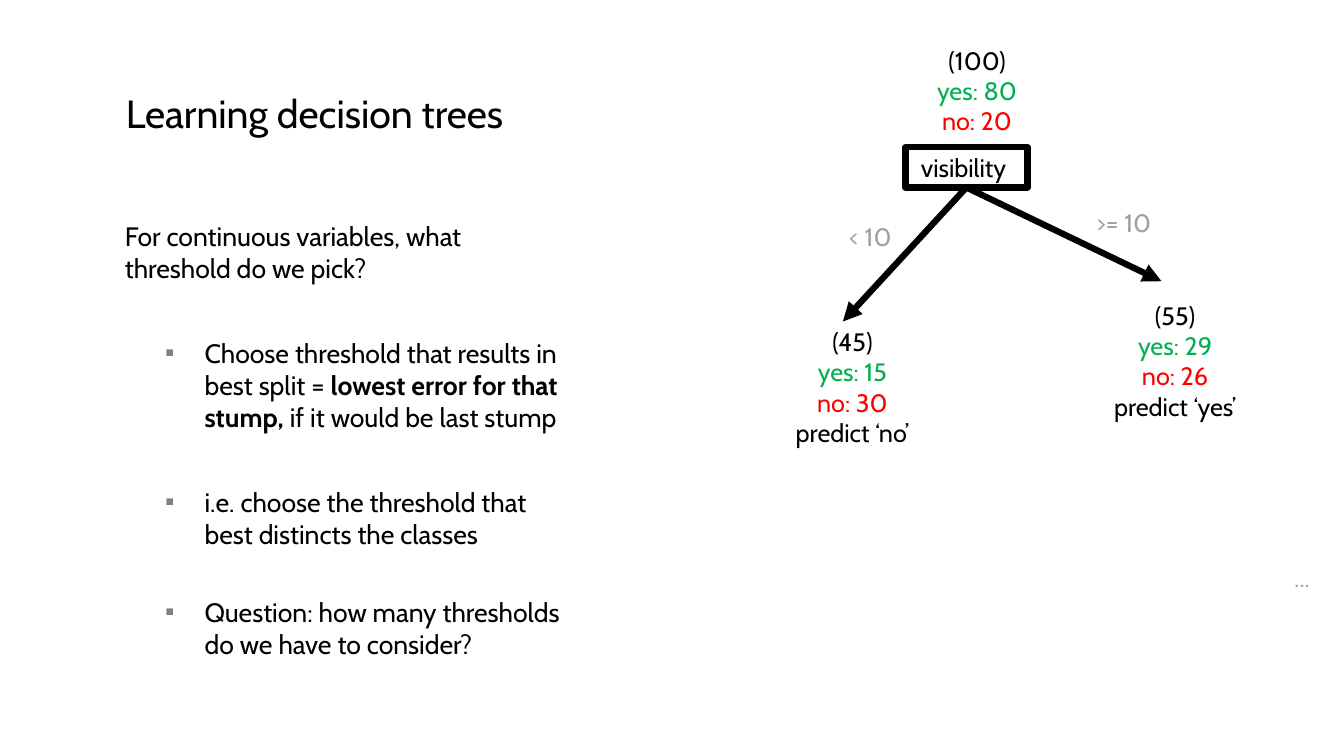
from dataclasses import dataclass

from lxml import etree
from pptx import Presentation
from pptx.dml.color import RGBColor
from pptx.enum.shapes import MSO_CONNECTOR, MSO_SHAPE
from pptx.enum.text import MSO_ANCHOR, PP_ALIGN
from pptx.oxml.ns import qn
from pptx.util import Inches, Pt

STRAIGHT = MSO_CONNECTOR.STRAIGHT
RECTANGLE = MSO_SHAPE.RECTANGLE
TOP, MIDDLE = MSO_ANCHOR.TOP, MSO_ANCHOR.MIDDLE
LEFT, CENTER = PP_ALIGN.LEFT, PP_ALIGN.CENTER
BOTTOM_SITE = 2


@dataclass(frozen=True)
class Theme:
    font: str = "Cabin"
    black: str = "000000"
    white: str = "FFFFFF"
    green: str = "00B050"
    red: str = "FF0000"
    gray: str = "A1A1A1"
    bullet: str = "808080"
    title_size: float = 28
    body_size: float = 19
    tree_size: float = 18
    line_width: float = 4.5


THEME = Theme()


def color(value):
    return RGBColor.from_string(value)


def style(para, size, text_color=THEME.black, align=LEFT):
    para.alignment = align
    para.font.name = THEME.font
    para.font.size = Pt(size)
    para.font.color.rgb = color(text_color)


def add_frame(page, box, anchor=TOP):
    frame = page.shapes.add_textbox(*map(Inches, box)).text_frame
    frame.word_wrap = True
    frame.vertical_anchor = anchor
    return frame


def next_para(frame, index):
    return frame.add_paragraph() if index else frame.paragraphs[0]


def add_lines(page, box, lines, align=LEFT):
    frame = add_frame(page, box)
    for index, (text, text_color) in enumerate(lines):
        para = next_para(frame, index)
        para.text = text
        style(para, THEME.tree_size, text_color, align)


def add_bullet(para):
    properties = para._p.get_or_add_pPr()
    properties.set("marL", str(Inches(0.79)))
    properties.set("indent", str(-Inches(0.39)))
    bullet_color = etree.SubElement(properties, qn("a:buClr"))
    etree.SubElement(bullet_color, qn("a:srgbClr"), val=THEME.bullet)
    etree.SubElement(properties, qn("a:buFont"), typeface="Arial")
    etree.SubElement(properties, qn("a:buChar"), char="▪")


def add_title(page, box):
    para = add_frame(page, box, MIDDLE).paragraphs[0]
    para.text = "Learning decision trees"
    para.line_spacing = 0.9
    style(para, THEME.title_size)


def add_body(page, box):
    paragraphs = [
        (0, False, [("For continuous variables, what threshold do we pick?", False)]),
        (38, True, [
            ("Choose threshold that results in best split = ", False),
            ("lowest error for that stump, ", True),
            ("if it would be last stump", False),
        ]),
        (38, True, [("i.e. choose the threshold that best distincts the classes", False)]),
        (33, True, [("Question: how many thresholds do we have to consider?", False)]),
    ]
    frame = add_frame(page, box)
    for index, (space, bulleted, spans) in enumerate(paragraphs):
        para = next_para(frame, index)
        if space:
            para.space_before = Pt(space)
        if bulleted:
            add_bullet(para)
        style(para, THEME.body_size)
        for text, bold in spans:
            span = para.add_run()
            span.text = text
            if bold:
                span.font.bold = True


def add_node(page, box, text):
    node = page.shapes.add_shape(RECTANGLE, *map(Inches, box))
    node.shadow.inherit = False
    node.fill.background()
    node.line.color.rgb = color(THEME.black)
    node.line.width = Pt(THEME.line_width)
    frame = node.text_frame
    frame.word_wrap = True
    frame.vertical_anchor = MIDDLE
    para = frame.paragraphs[0]
    para.text = text
    style(para, THEME.tree_size, align=CENTER)
    return node


def add_branch(page, node, end_x, end_y):
    start_x = node.left + node.width // 2
    start_y = node.top + node.height
    branch = page.shapes.add_connector(
        STRAIGHT, start_x, start_y, Inches(end_x), Inches(end_y))
    branch.begin_connect(node, BOTTOM_SITE)
    branch.line.color.rgb = color(THEME.black)
    branch.line.width = Pt(THEME.line_width)
    etree.SubElement(branch.line._get_or_add_ln(), qn("a:tailEnd"), type="triangle")
    etree.SubElement(branch._element.spPr, qn("a:effectLst"))


def add_counts(page, box, total, yes, no, prediction=None):
    lines = [
        (f"({total})", THEME.black),
        (f"yes: {yes}", THEME.green),
        (f"no: {no}", THEME.red),
    ]
    if prediction:
        lines.append((f"predict ‘{prediction}’", THEME.black))
    add_lines(page, box, lines, CENTER)


def add_tree(page, box):
    left, top, width, height = box
    node = add_node(page, (left + 1.31, top + 1.06, 1.21, 0.4), "visibility ")
    add_branch(page, node, left + 3.85, top + 2.39)
    add_branch(page, node, left + 0.69, top + 2.79)
    add_counts(page, (left + 1.28, top, 1.48, 1.01), 100, 80, 20)
    add_counts(page, (left, top + 2.79, 1.57, 1.31), 45, 15, 30, "no")
    add_counts(page, (left + 3.08, top + 2.53, 1.81, 1.31), 55, 29, 26, "yes")
    labels = [("< 10", 0.65, 1.75), (">= 10", 3.1, 1.61)]
    for text, label_x, label_y in labels:
        add_lines(page, (left + label_x, top + label_y, 0.93, 0.4), [(text, THEME.gray)])
    add_lines(page, (left + width - 0.59, top + height - 0.4, 0.59, 0.4),
              [("...", THEME.gray)])


def main():
    deck = Presentation()
    deck.slide_width = Inches(13.33)
    deck.slide_height = Inches(7.5)
    page = deck.slides.add_slide(deck.slide_layouts[6])
    page.background.fill.solid()
    page.background.fill.fore_color.rgb = color(THEME.white)
    add_title(page, (1.15, 0.85, 11.02, 0.59))
    add_body(page, (1.14, 2.13, 4.61, 5.17))
    add_tree(page, (7.67, 0.4, 5.66, 5.53))
    deck.save("out.pptx")


if __name__ == "__main__":
    main()
